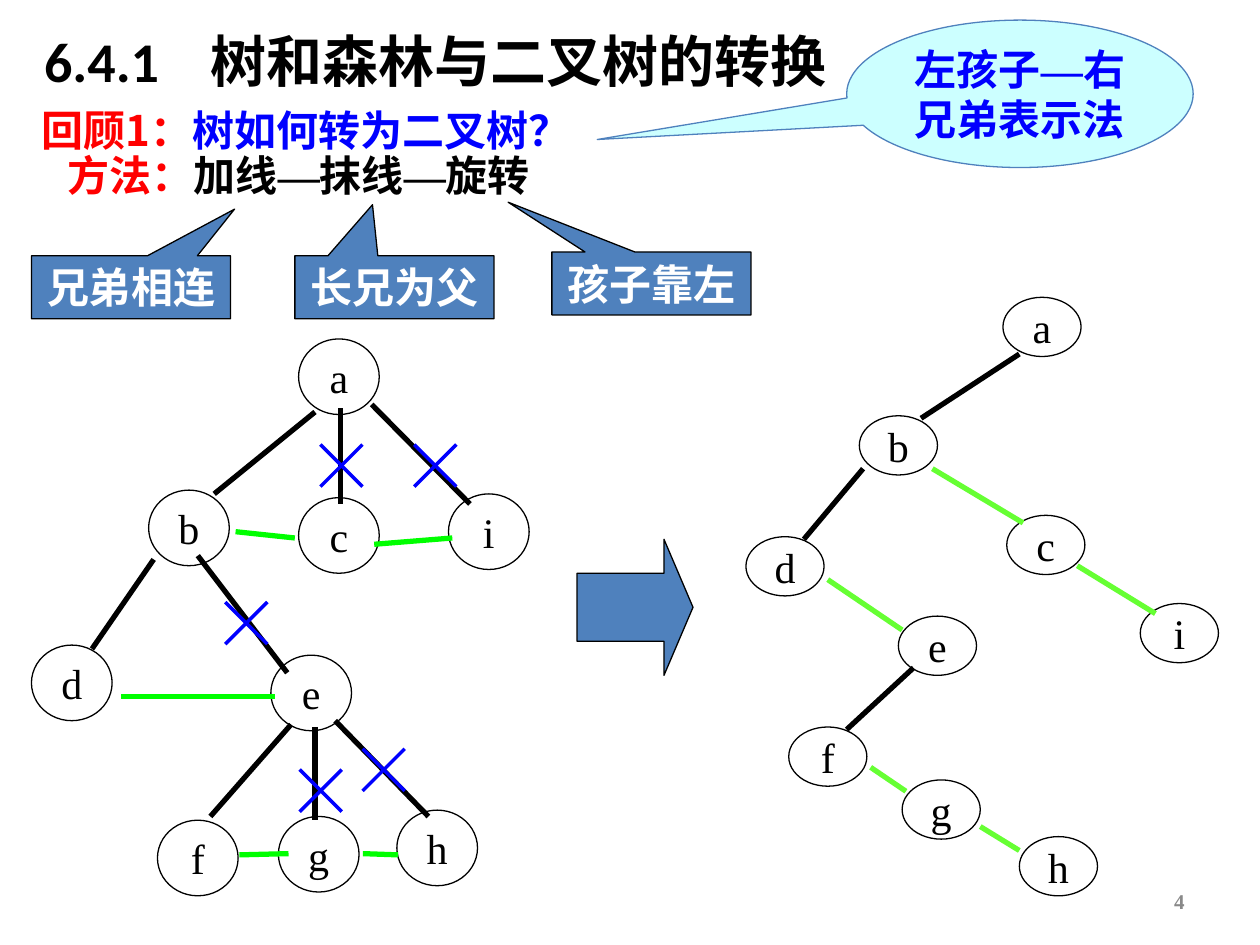
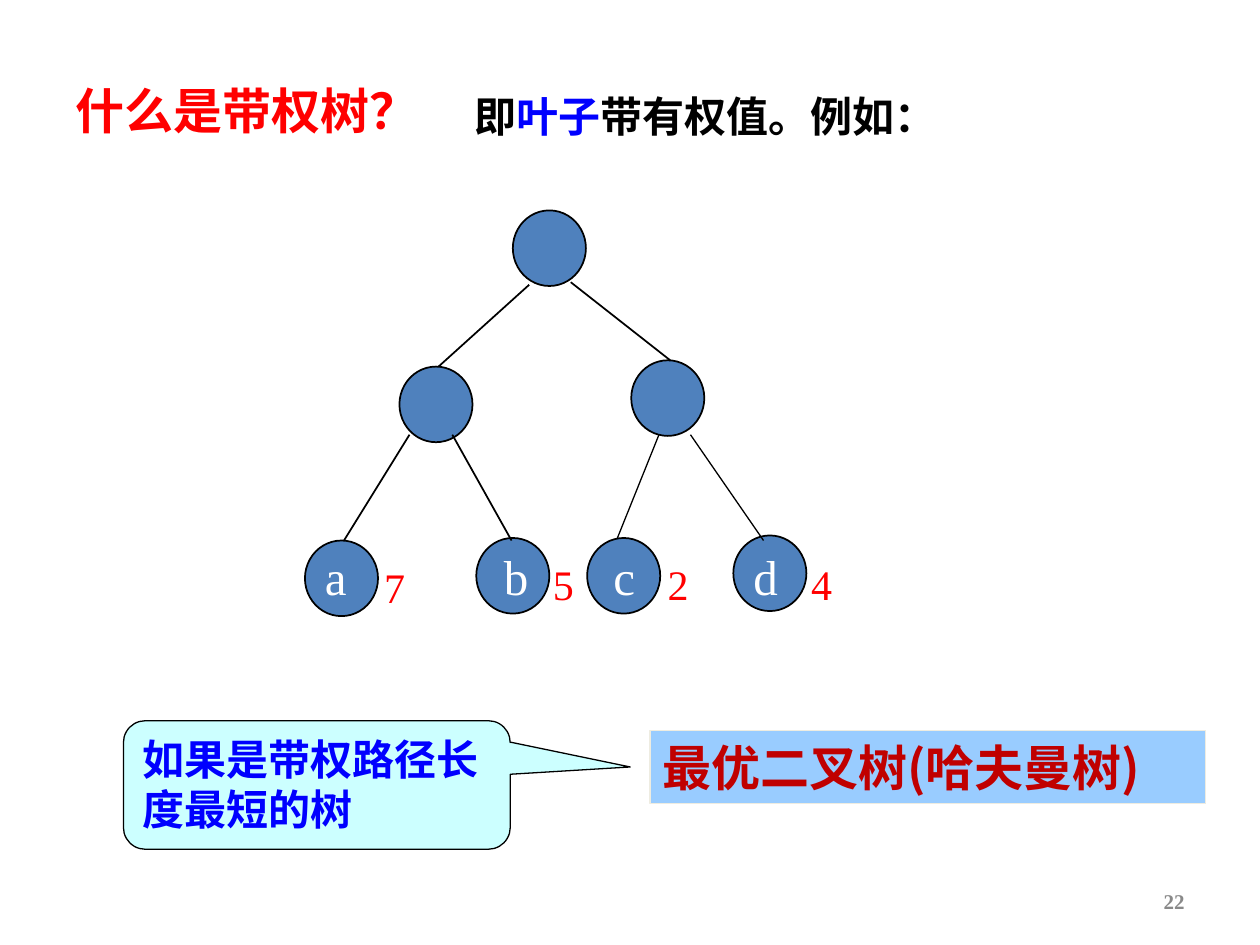
from lxml.etree import SubElement
from pptx import Presentation
from pptx.dml.color import RGBColor
from pptx.enum.shapes import MSO_CONNECTOR, MSO_SHAPE
from pptx.enum.text import MSO_ANCHOR, MSO_AUTO_SIZE, PP_ALIGN
from pptx.oxml.ns import qn
from pptx.util import Inches, Pt

BLACK = RGBColor(0x00, 0x00, 0x00)
WHITE = RGBColor(0xFF, 0xFF, 0xFF)
RED = RGBColor(0xFF, 0x00, 0x00)
DARK_RED = RGBColor(0xC0, 0x00, 0x00)
BLUE = RGBColor(0x00, 0x00, 0xFF)
STEEL = RGBColor(0x4F, 0x81, 0xBD)
SKY = RGBColor(0x99, 0xCC, 0xFF)
CYAN = RGBColor(0xCC, 0xFF, 0xFF)
CREAM = RGBColor(0xEE, 0xEC, 0xE1)
GREEN = RGBColor(0x00, 0xFF, 0x00)
LIME = RGBColor(0x66, 0xFF, 0x33)
GREY = RGBColor(0x89, 0x89, 0x89)
CJK, LATIN, HEAD = "Noto Sans CJK SC", "Times New Roman", "Calibri"
LEFT, CENTER, RIGHT = PP_ALIGN.LEFT, PP_ALIGN.CENTER, PP_ALIGN.RIGHT
TOP, MIDDLE = MSO_ANCHOR.TOP, MSO_ANCHOR.MIDDLE

prs = Presentation()
prs.slide_width, prs.slide_height = Inches(10), Inches(7.5)
COL, ROW = prs.slide_width / 100, prs.slide_height / 75


def draw(s, kind, at, runs=(), fill=None, line=None, width=0.75, size=24,
         bold=True, align=LEFT, anchor=TOP, adj=()):
    x, y, w, h = int(at[0] * COL), int(at[1] * ROW), int(at[2] * COL), int(at[3] * ROW)
    if kind == "title":
        sp = s.shapes.title
        sp.left, sp.top, sp.width, sp.height = x, y, w, h
    elif kind == "text":
        sp = s.shapes.add_textbox(x, y, w, h)
    else:
        sp = s.shapes.add_shape(kind, x, y, w, h)
        sp.shadow.inherit = False
        for i, value in enumerate(adj):
            sp.adjustments[i] = value
        if fill is None:
            sp.fill.background()
        else:
            sp.fill.solid()
            sp.fill.fore_color.rgb = fill
        sp.line.color.rgb = line
        sp.line.width = Pt(width)
    tf = sp.text_frame
    tf.auto_size = MSO_AUTO_SIZE.NONE
    tf.word_wrap = at[2] > 10
    tf.vertical_anchor = anchor
    p = tf.paragraphs[0]
    p.alignment = align
    for text, font, color in runs:
        r = p.add_run()
        r.text = text
        r.font.name, r.font.size, r.font.bold = font, Pt(size), bold
        r.font.color.rgb = color
        ea = SubElement(r.font._element, qn("a:ea"))
        ea.set("typeface", CJK if font == HEAD else font)
    return sp


def connect(s, x1, y1, x2, y2, color, width):
    c = s.shapes.add_connector(MSO_CONNECTOR.STRAIGHT, int(x1 * COL), int(y1 * ROW),
                               int(x2 * COL), int(y2 * ROW))
    c.line.color.rgb = color
    c.line.width = Pt(width)
    SubElement(c._element.spPr, qn("a:effectLst"))


slides = []
for number in ("4", "22"):
    s = prs.slides.add_slide(prs.slide_layouts[5])
    draw(s, "text", (71.7, 69.5, 23.3, 4), [(number, LATIN, GREY)],
         size=12, align=RIGHT, anchor=MIDDLE)
    slides.append(s)

s = slides[0]
sp = draw(s, "title", (2.5, 1.6, 83.3, 6.3),
          [("6.4.1\t树和森林与二叉树的转换", HEAD, BLACK)], size=32, anchor=MIDDLE)
tabs = SubElement(sp.text_frame.paragraphs[0]._p.get_or_add_pPr(), qn("a:tabLst"))
SubElement(tabs, qn("a:tab"), pos=str(int(13.2 * COL)), algn="l")
draw(s, "text", (2.3, 7.8, 46, 5.1),
     [("回顾1：", CJK, RED), ("树如何转为二叉树？", CJK, BLUE)])
draw(s, "text", (4.4, 11.4, 40.9, 5.1),
     [("方法：", CJK, RED), ("加线", CJK, BLACK), ("—", LATIN, BLACK),
      ("抹线", CJK, BLACK), ("—", LATIN, BLACK), ("旋转", CJK, BLACK)])
draw(s, MSO_SHAPE.OVAL_CALLOUT, (67.2, 1.6, 27.5, 11.7),
     [("左孩子", CJK, BLUE), ("—", LATIN, BLUE), ("右兄弟表示法", CJK, BLUE)],
     CYAN, STEEL, align=CENTER, anchor=MIDDLE, adj=(-1.22, 0.31))
for text, x, y, tip in (("兄弟相连", 2.5, 20.3, (0.52, -1.24)),
                        ("长兄为父", 23.4, 20.3, (-0.11, -1.31)),
                        ("孩子靠左", 43.8, 20, (-0.72, -1.29))):
    draw(s, MSO_SHAPE.RECTANGULAR_CALLOUT, (x, y, 15.8, 5), [(text, CJK, WHITE)],
         STEEL, BLACK, align=CENTER, adj=tip)
draw(s, MSO_SHAPE.RIGHT_ARROW, (45.8, 42.8, 9.2, 10.8), fill=STEEL, line=BLACK,
     adj=(0.5, 0.25))

forest_nodes = {"a": (23.7, 26.9), "b": (11.8, 38.9), "c": (23.7, 39.5),
                "i": (35.6, 39.2), "d": (2.5, 51.2), "e": (21.5, 52),
                "f": (12.5, 65.1), "g": (22.1, 64.8), "h": (31.5, 64.3)}
binary_nodes = {"a": (79.6, 23.6), "b": (68.2, 33), "c": (79.9, 40.9),
                "i": (90.5, 47.9), "d": (59.2, 42.6), "e": (71.3, 48.9),
                "f": (62.6, 57.7), "g": (71.6, 61.9), "h": (80.9, 66.4)}
for nodes, w, h, fill in ((forest_nodes, 6.4, 6, None), (binary_nodes, 6.2, 4.7, WHITE)):
    for name, (x, y) in nodes.items():
        draw(s, MSO_SHAPE.OVAL, (x, y, w, h), [(name, LATIN, BLACK)], fill, BLACK,
             bold=False, align=CENTER, anchor=MIDDLE)

child_edges = [(25, 32.7, 17, 39.2), (12.2, 44.4, 7.3, 51.5), (29.5, 32.1, 37.3, 40),
               (15.7, 44.1, 22.8, 53.4), (23.1, 57.5, 16.7, 64.8),
               (26.6, 57.2, 34, 64.8), (25, 57.7, 25, 65.1), (27, 32.4, 27, 40),
               (80.9, 28.1, 73.1, 33.2), (68.5, 37.2, 63.8, 42.8),
               (72.5, 53, 67.2, 57.9)]
sibling_links = [(9.6, 55.3, 21.8, 55.3), (19, 67.85, 22.9, 67.75),
                 (28.8, 67.75, 31.6, 67.85), (18.7, 42.2, 23.4, 42.7),
                 (29.7, 43.2, 35.9, 42.7)]
right_edges = [(74, 37.2, 81.2, 41.5), (85.5, 44.9, 91.7, 48.7), (65.7, 46, 71.6, 50),
               (69.1, 60.9, 71.9, 62.8), (77.8, 65.6, 80.9, 67.5)]
for edges, color in ((child_edges, BLACK), (sibling_links, GREEN), (right_edges, LIME)):
    for ends in edges:
        connect(s, *ends, color, 3)

half = 1.67
for x, y in ((25.45, 62.75), (30.45, 61.1), (19.55, 49.45), (27.1, 36.95), (34.55, 36.95)):
    for rise in (half, -half):
        connect(s, x - half, y - rise, x + half, y + rise, BLUE, 2)

s = slides[1]
draw(s, "title", (5, 2.5, 85, 12.5), [("什么是带权树？", HEAD, RED)], size=28, anchor=MIDDLE)
draw(s, "text", (36.7, 6.7, 42.5, 5),
     [("即", CJK, BLACK), ("叶子", CJK, BLUE), ("带有权值。例如：", CJK, BLACK)])
for x, y in ((40.7, 16.7), (31.7, 29.1), (50.1, 28.6), (24.2, 42.9),
             (37.8, 42.7), (46.6, 42.7), (58.2, 42.5)):
    draw(s, MSO_SHAPE.OVAL, (x, y, 5.8, 6), fill=STEEL, line=BLACK, width=1)
for *ends, width in ((42, 22.6, 34.8, 29.1, 1), (45.3, 22.4, 53.2, 28.6, 1),
                     (32.5, 34.5, 27.3, 42.9, 1), (35.9, 34.5, 40.6, 42.9, 1),
                     (52.3, 34.5, 49, 42.7, 0.75), (54.8, 34.5, 60.6, 42.9, 0.75)):
    connect(s, *ends, BLACK, width)
for leaf, x, weight, wx, wy in (("a", 24.8, "7", 29.5, 44.1), ("b", 39, "5", 42.9, 43.8),
                                ("c", 47.7, "2", 52, 43.8), ("d", 58.8, "4", 63.4, 43.8)):
    draw(s, "text", (x, 42.9, 3.8, 5.7), [(leaf, LATIN, WHITE)], size=28, bold=False)
    draw(s, "text", (wx, wy, 3.7, 5), [(weight, LATIN, RED)], bold=False)
draw(s, MSO_SHAPE.RECTANGLE, (51.6, 58, 44.1, 5.8),
     [("最优二叉树(哈夫曼树)", CJK, DARK_RED)], SKY, CREAM, size=28)
draw(s, MSO_SHAPE.ROUNDED_RECTANGULAR_CALLOUT, (9.8, 57.2, 30.7, 10.2),
     [("如果是带权路径长度最短的树", CJK, BLUE)], CYAN, BLACK, adj=(0.81, -0.14, 0.17))

prs.save("out.pptx")
